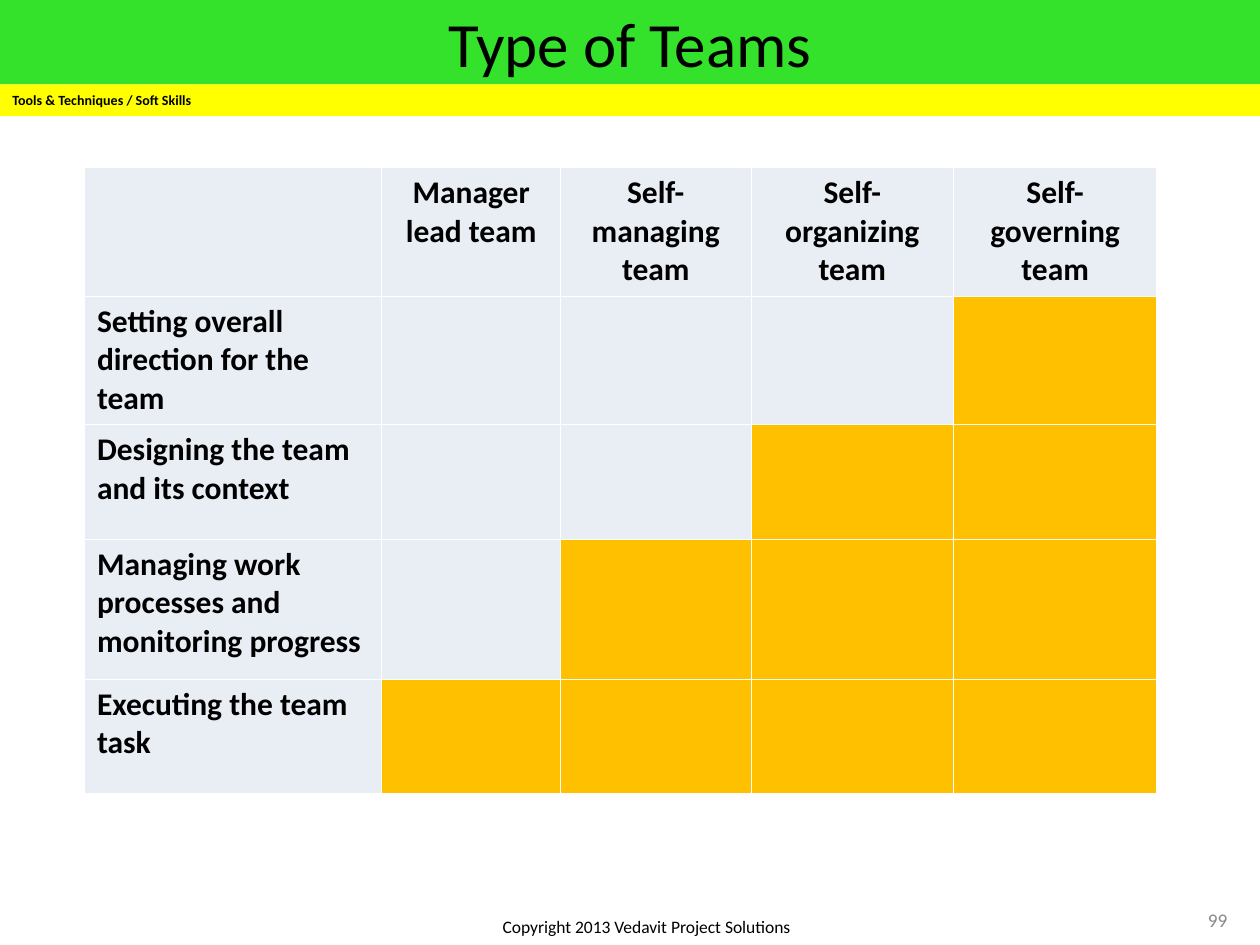
import pptx
import pptx.util
import pptx.dml.color
import pptx.enum.shapes
import pptx.enum.text
import pptx.oxml
import pptx.oxml.ns

Inches = pptx.util.Inches
Pt = pptx.util.Pt
RGBColor = pptx.dml.color.RGBColor
ALIGN = pptx.enum.text.PP_ALIGN
ANCHOR = pptx.enum.text.MSO_ANCHOR

BLACK = RGBColor(0x00, 0x00, 0x00)
GRAY = RGBColor(0x89, 0x89, 0x89)
GREEN = RGBColor(0x34, 0xE1, 0x2B)
YELLOW = RGBColor(0xFF, 0xFF, 0x00)
PALE = RGBColor(0xE9, 0xED, 0xF4)
AMBER = RGBColor(0xFF, 0xC0, 0x00)
WHITE = RGBColor(0xFF, 0xFF, 0xFF)


def write(frame, text, size, align, color=BLACK, bold=False):
    frame.word_wrap = True
    para = frame.paragraphs[0]
    para.alignment = align
    span = para.add_run()
    span.text = text
    span.font.name = "Calibri"
    span.font.size = Pt(size)
    span.font.bold = bold
    span.font.color.rgb = color


def add_border(cell, side):
    properties = cell._tc.get_or_add_tcPr()
    properties.append(pptx.oxml.parse_xml(
        f'<a:{side} {pptx.oxml.ns.nsdecls("a")} w="{Pt(0.45)}"><a:solidFill>'
        f'<a:srgbClr val="{WHITE}"/></a:solidFill></a:{side}>'))


deck = pptx.Presentation()
deck.slide_width = Inches(10)
deck.slide_height = Inches(7.5)
page = deck.slides.add_slide(deck.slide_layouts[6])

bands = [
    ("Type of Teams", 0, 0.67, GREEN, 36, ALIGN.CENTER, False),
    ("Tools & Techniques / Soft Skills", 0.67, 0.25, YELLOW, 8, ALIGN.LEFT, True),
]
for text, top, height, fill, size, align, bold in bands:
    band = page.shapes.add_shape(pptx.enum.shapes.MSO_SHAPE.RECTANGLE,
                                 Inches(0), Inches(top), Inches(10), Inches(height))
    band.shadow.inherit = False
    band.fill.solid()
    band.fill.fore_color.rgb = fill
    band.line.fill.background()
    band.text_frame.vertical_anchor = ANCHOR.MIDDLE
    write(band.text_frame, text, size, align, bold=bold)

team_types = ["Manager lead team", "Self-managing team",
              "Self-organizing team", "Self-governing team"]
duties = ["Setting overall direction for the team",
          "Designing the team and its context",
          "Managing work processes and monitoring progress",
          "Executing the team task"]
column_widths = [2.36, 1.42, 1.51, 1.61, 1.61]
row_heights = [1.02, 1.02, 0.91, 1.11, 0.91]

table = page.shapes.add_table(len(row_heights), len(column_widths), Inches(0.67), Inches(1.33),
                              Inches(sum(column_widths)), Inches(sum(row_heights))).table
for column, width in zip(table.columns, column_widths):
    column.width = Inches(width)
for row, height in zip(table.rows, row_heights):
    row.height = Inches(height)

for r in range(len(row_heights)):
    for c in range(len(column_widths)):
        cell = table.cell(r, c)
        for side in ("lnL", "lnR", "lnT", "lnB"):
            add_border(cell, side)
        team_decides = c > 0 and r + c >= len(column_widths)
        if r == 0:
            team_decides = False
        cell.fill.solid()
        cell.fill.fore_color.rgb = AMBER if team_decides else PALE
        if r == 0 and c > 0:
            write(cell.text_frame, team_types[c - 1], 18, ALIGN.CENTER, bold=True)
        elif c == 0 and r > 0:
            write(cell.text_frame, duties[r - 1], 18, ALIGN.LEFT, bold=True)

footers = [
    ("Copyright 2013 Vedavit Project Solutions", 3.67, 7.22, 2.92, 0.25, 10, BLACK, ANCHOR.TOP),
    ("99", 9.33, 7.1, 0.67, 0.4, 11, GRAY, ANCHOR.MIDDLE),
]
for text, left, top, width, height, size, color, anchor in footers:
    box = page.shapes.add_textbox(Inches(left), Inches(top), Inches(width), Inches(height))
    box.text_frame.vertical_anchor = anchor
    write(box.text_frame, text, size, ALIGN.CENTER, color)

deck.save("out.pptx")
